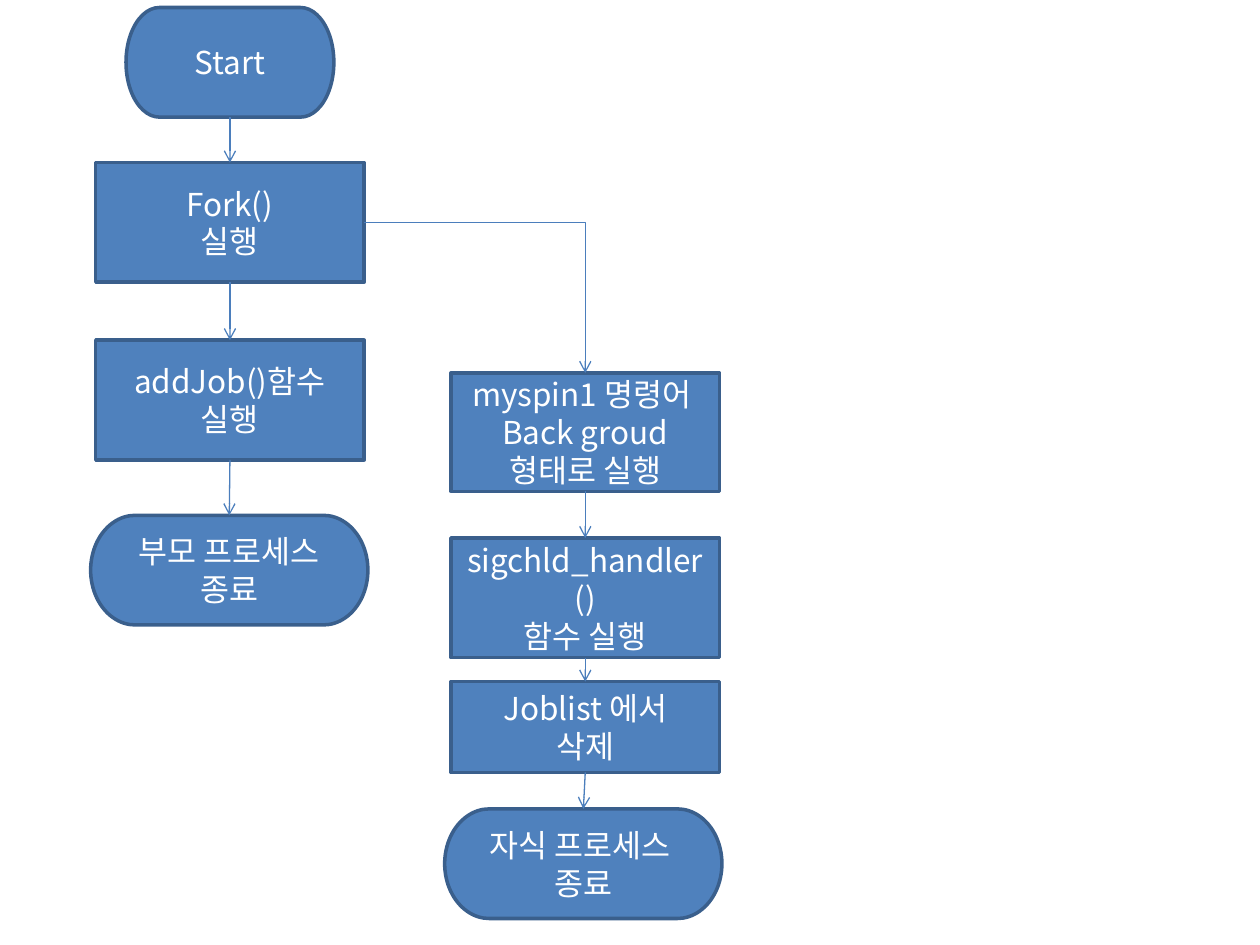
from lxml import etree
from pptx import Presentation
from pptx import util as u
from pptx.dml.color import RGBColor
from pptx.enum import shapes, text
from pptx.oxml.ns import qn

COLORS = {"fill": "4F81BD", "border": "3A5F8C", "arrow": "4B7EBC", "text": "FFFFFF"}
FONT = "Noto Sans CJK KR"
TOP, BOTTOM, RIGHT = 0, 2, 3  # connection sites

prs = Presentation()
prs.slide_width, prs.slide_height = u.Inches(10), u.Inches(7.5)
s = prs.slides.add_slide(prs.slide_layouts[6])


def add_box(label, kind, left, top, width, height, size=18, color="text"):
    sp = s.shapes.add_shape(kind, *[u.Inches(v) for v in (left, top, width, height)])
    sp.shadow.inherit = False
    sp.fill.solid()
    sp.fill.fore_color.rgb = RGBColor.from_string(COLORS["fill"])
    sp.line.color.rgb = RGBColor.from_string(COLORS["border"])
    sp.line.width = u.Pt(2)
    tf = sp.text_frame
    tf.word_wrap = True
    tf.vertical_anchor = text.MSO_ANCHOR.MIDDLE
    for i, line in enumerate(label.split("\n")):
        p = tf.paragraphs[0] if i == 0 else tf.add_paragraph()
        p.alignment = text.PP_ALIGN.CENTER
        r = p.add_run()
        r.text = line
        r.font.size = u.Pt(size)
        r.font.name = FONT
        r.font.color.rgb = RGBColor.from_string(COLORS[color])
        etree.SubElement(r.font._element, qn("a:ea"), typeface=FONT)
    return sp


def add_arrow(start, end, site=BOTTOM, kind=shapes.MSO_CONNECTOR.STRAIGHT):
    c = s.shapes.add_connector(kind, 0, 0, 0, 0)
    c.begin_connect(start, site)
    c.end_connect(end, TOP)
    c.line.color.rgb = RGBColor.from_string(COLORS["arrow"])
    c.line.width = u.Pt(0.75)
    etree.SubElement(c.line._get_or_add_ln(), qn("a:tailEnd"), type="arrow")
    etree.SubElement(c._element.spPr, qn("a:effectLst"))
    return c


# Flowchart steps
STEP = shapes.MSO_SHAPE.FLOWCHART_PROCESS
END = shapes.MSO_SHAPE.FLOWCHART_TERMINATOR
parent_steps = [
    ("Start", END, 1, 0.06, 1.65, 0.87),
    ("Fork()\n실행", STEP, 0.76, 1.29, 2.13, 0.95),
    ("addJob()함수\n실행", STEP, 0.76, 2.7, 2.13, 0.95),
    ("부모 프로세스 종료", END, 0.72, 4.09, 2.2, 0.87),
]
child_steps = [
    ("myspin1 명령어 \nBack groud형태로 실행", STEP, 3.58, 2.96, 2.13, 0.94),
    ("sigchld_handler()\n함수 실행", STEP, 3.58, 4.27, 2.13, 0.95),
    ("Joblist 에서\n삭제", STEP, 3.58, 5.41, 2.13, 0.72),
    ("자식 프로세스 \n종료", END, 3.53, 6.42, 2.2, 0.87),
]
parent, child = [[add_box(*step) for step in steps] for steps in (parent_steps, child_steps)]

# Arrows down each column
for column in (parent, child):
    for start, end in zip(column, column[1:]):
        add_arrow(start, end)

# Branch from Fork() to the child process, with a single bend
branch = add_arrow(parent[1], child[0], site=RIGHT, kind=shapes.MSO_CONNECTOR.ELBOW)
branch._element.spPr.find(qn("a:prstGeom")).set("prst", "bentConnector2")

prs.save("out.pptx")
